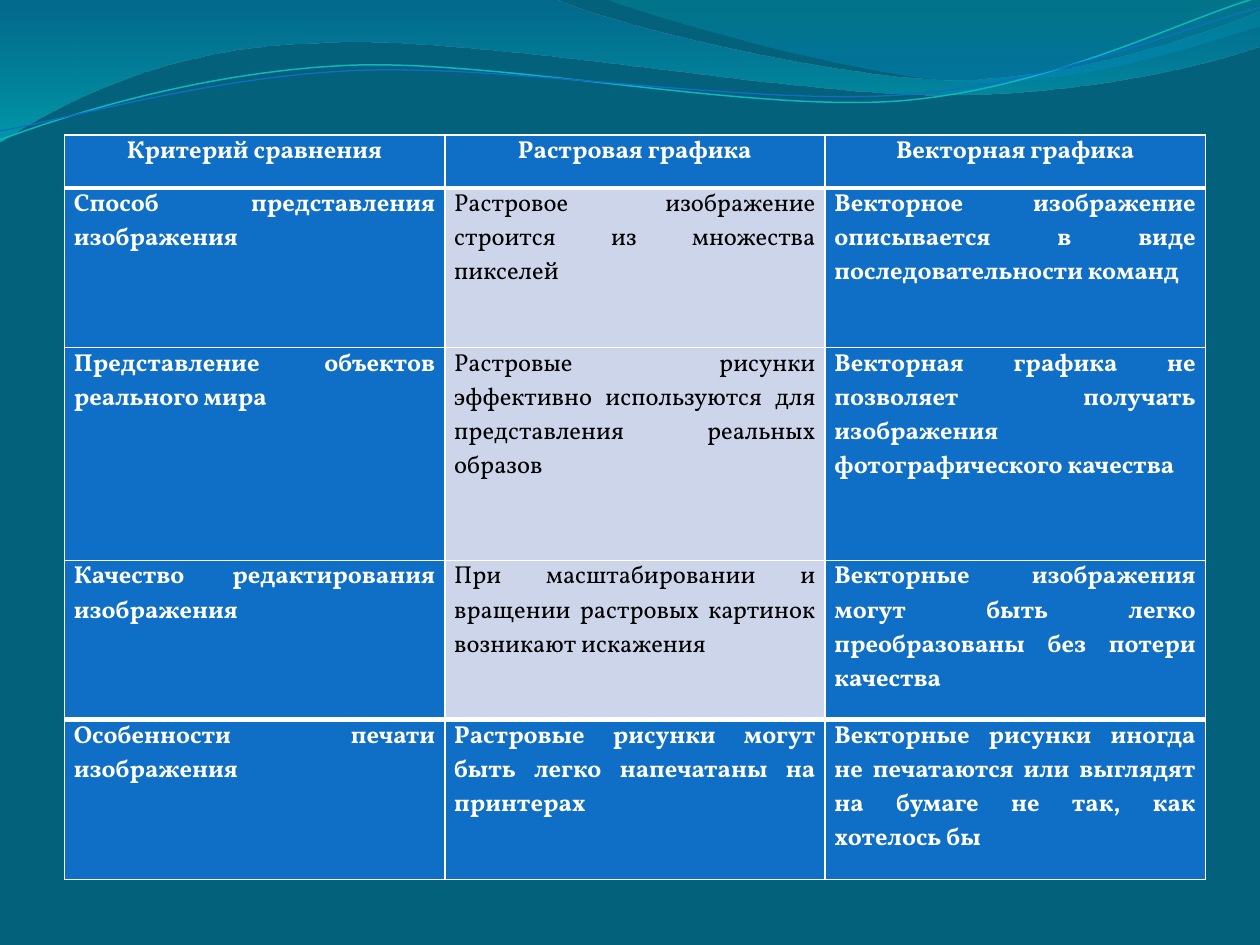
from dataclasses import dataclass

from lxml import etree
from pptx import Presentation
from pptx.dml.color import RGBColor
from pptx.enum import text
from pptx.oxml import parse_xml
from pptx.oxml.ns import nsdecls, qn
from pptx.util import Cm, Pt


@dataclass(frozen=True)
class Theme:
    background: str = "04617B"
    blue: str = "0F6FC6"
    pale: str = "CCD5EA"
    teal: str = "0AB8BF"
    white: str = "FFFFFF"
    black: str = "000000"
    font: str = "Vollkorn"
    size: int = 14
    thin: int = 1
    thick: int = 3


@dataclass(frozen=True)
class Box:
    """A region in centimetres."""
    left: float
    top: float
    width: float
    height: float


THEME = Theme()

# Gradient stops: position in percent, colour, opacity in percent
WIDE_STOPS = [(0, "0074A1", 45), (100, "00C6CF", 55)]
CORNER_STOPS = [(0, "00A1A9", 30), (80, "008BBF", 45)]

# Outlines in centimetres: one point is a straight step, three are a Bézier step
WIDE_WAVE = [
    [(0, 0)],
    [(11.18, -0.03)],
    [(12.09, 0.43), (16.87, 1.6), (19.25, 1.6)],
    [(21.67, 1.6), (24.33, 0.66), (25.4, 0.23)],
    [(25.43, 0.91)],
    [(24.97, 1.12), (22.1, 1.93), (18.95, 1.91)],
    [(15.8, 1.91), (9.7, 0.71), (6.53, 0.86)],
    [(3.28, 0.91), (1.17, 2.11), (-0.03, 2.87)],
]
CORNER_WAVE = [
    [(12.17, -0.03)],
    [(12.93, 0.28), (17.32, 1.57), (19.53, 1.65)],
    [(21.74, 1.75), (24.41, 0.81), (25.4, 0.53)],
    [(25.4, 0)],
]
# The strands are level here and tilted once drawn
STRAND_TILT = -2.7
TEAL_STRAND = [
    [(-0.05, 2.22)],
    [(1.19, 1.82), (4.02, 1.04), (7.05, 1.05)],
    [(10.05, 1.07), (15.02, 2.37), (18.08, 2.29)],
    [(21.13, 2.2), (23.87, 0.91), (25.41, 0.55)],
]
BLUE_STRAND = [
    [(-0.04, 2.04)],
    [(1.16, 1.9), (4.18, 1.15), (7.2, 1.16)],
    [(10.25, 1.18), (15.13, 2.25), (18.18, 2.17)],
    [(21.21, 2.1), (23.93, 1.06), (25.45, 0.75)],
]

COMPARISON = [
    ("Критерий сравнения", "Растровая графика", "Векторная графика"),
    ("Способ представления изображения",
     "Растровое изображение строится из множества пикселей",
     "Векторное изображение описывается в виде последовательности команд"),
    ("Представление объектов реального мира",
     "Растровые рисунки эффективно используются для представления реальных образов",
     "Векторная графика не позволяет получать изображения фотографического качества"),
    ("Качество редактирования изображения",
     "При масштабировании и вращении растровых картинок возникают искажения",
     "Векторные изображения могут быть легко преобразованы без потери качества"),
    ("Особенности печати изображения",
     "Растровые рисунки могут быть легко напечатаны на принтерах",
     "Векторные рисунки иногда не печатаются или выглядят на бумаге не так, "
     "как хотелось бы"),
]
ROW_SHARES = [1.07, 3.22, 4.29, 3.21, 3.22]


def rgb(colour):
    return RGBColor.from_string(colour)


def add_outline(slide, box, outline, closed):
    """Join the end points of the steps, then bend the Bézier steps."""
    steps = [[(Cm(box.left + x), Cm(box.top + y)) for x, y in step] for step in outline]
    builder = slide.shapes.build_freeform(*steps[0][0])
    builder.add_line_segments([step[-1] for step in steps[1:]], close=closed)
    shape = builder.convert_to_shape()
    shape.shadow.inherit = False
    segments = list(shape.element.spPr.iter(qn("a:lnTo")))
    for segment, step in zip(segments, steps[1:]):
        if len(step) == 3:
            segment.tag = qn("a:cubicBezTo")
            for i, (x, y) in enumerate(step[:2]):
                control = etree.Element(qn("a:pt"), x=str(x - shape.left),
                                        y=str(y - shape.top))
                segment.insert(i, control)
    return shape


def add_wave(slide, box, outline, stops):
    wave = add_outline(slide, box, outline, True)
    wave.line.fill.background()
    stop_xml = "".join(
        f'<a:gs pos="{position * 1000}"><a:srgbClr val="{colour}">'
        f'<a:alpha val="{opacity * 1000}"/></a:srgbClr></a:gs>'
        for position, colour, opacity in stops)
    gradient = parse_xml(f'<a:gradFill {nsdecls("a")}><a:gsLst>{stop_xml}</a:gsLst>'
                         '<a:lin ang="5400000" scaled="0"/></a:gradFill>')
    wave.element.spPr.find(qn("a:custGeom")).addnext(gradient)


def add_strand(slide, box, outline, colour, weight):
    strand = add_outline(slide, box, outline, False)
    strand.rotation = STRAND_TILT
    strand.fill.background()
    strand.line.color.rgb = rgb(colour)
    strand.line.width = Pt(weight)


def add_header_waves(slide, box):
    add_wave(slide, box, WIDE_WAVE, WIDE_STOPS)
    add_wave(slide, box, CORNER_WAVE, CORNER_STOPS)
    add_strand(slide, box, TEAL_STRAND, THEME.teal, 0.85)
    add_strand(slide, box, BLUE_STRAND, THEME.blue, 0.75)


def set_borders(cell, top, bottom):
    """Draw white borders; top and bottom are weights in points."""
    properties = cell._tc.get_or_add_tcPr()
    weights = {"lnL": THEME.thin, "lnR": THEME.thin, "lnT": top, "lnB": bottom}
    for side, weight in weights.items():
        border = etree.SubElement(properties, qn(f"a:{side}"), w=str(Pt(weight)))
        fill = etree.SubElement(border, qn("a:solidFill"))
        etree.SubElement(fill, qn("a:srgbClr"), val=THEME.white)


def fill_cell(cell, wording, alignment, pale):
    cell.fill.solid()
    cell.fill.fore_color.rgb = rgb(THEME.pale if pale else THEME.blue)
    cell.margin_left = cell.margin_right = Cm(0.19)
    cell.margin_top = cell.margin_bottom = 0
    paragraph = cell.text_frame.paragraphs[0]
    paragraph.alignment = alignment
    run = paragraph.add_run()
    run.text = wording
    run.font.name = THEME.font
    run.font.size = Pt(THEME.size)
    run.font.bold = not pale
    run.font.color.rgb = rgb(THEME.black if pale else THEME.white)


def add_comparison(slide, box):
    last, columns = len(COMPARISON) - 1, len(COMPARISON[0])
    table = slide.shapes.add_table(len(COMPARISON), columns, Cm(box.left), Cm(box.top),
                                   Cm(box.width), Cm(box.height)).table
    table.first_row = table.last_row = table.first_col = table.last_col = True
    for column in table.columns:
        column.width = Cm(box.width / columns)
    for r, wordings in enumerate(COMPARISON):
        table.rows[r].height = Cm(box.height * ROW_SHARES[r] / sum(ROW_SHARES))
        alignment = text.PP_ALIGN.JUSTIFY if r else text.PP_ALIGN.CENTER
        for c, wording in enumerate(wordings):
            cell = table.cell(r, c)
            if r == 0:
                set_borders(cell, THEME.thin, THEME.thick)
            elif r == last:
                set_borders(cell, THEME.thick, THEME.thin)
            fill_cell(cell, wording, alignment, pale=c == 1 and 0 < r < last)


def main():
    deck = Presentation()
    deck.slide_width, deck.slide_height = Cm(25.4), Cm(19.05)
    slide = deck.slides.add_slide(deck.slide_layouts[6])
    slide.background.fill.solid()
    slide.background.fill.fore_color.rgb = rgb(THEME.background)
    add_header_waves(slide, Box(0, 0, 25.4, 2.87))
    add_comparison(slide, Box(1.3, 2.72, 23, 15.01))
    deck.save("out.pptx")


if __name__ == "__main__":
    main()
